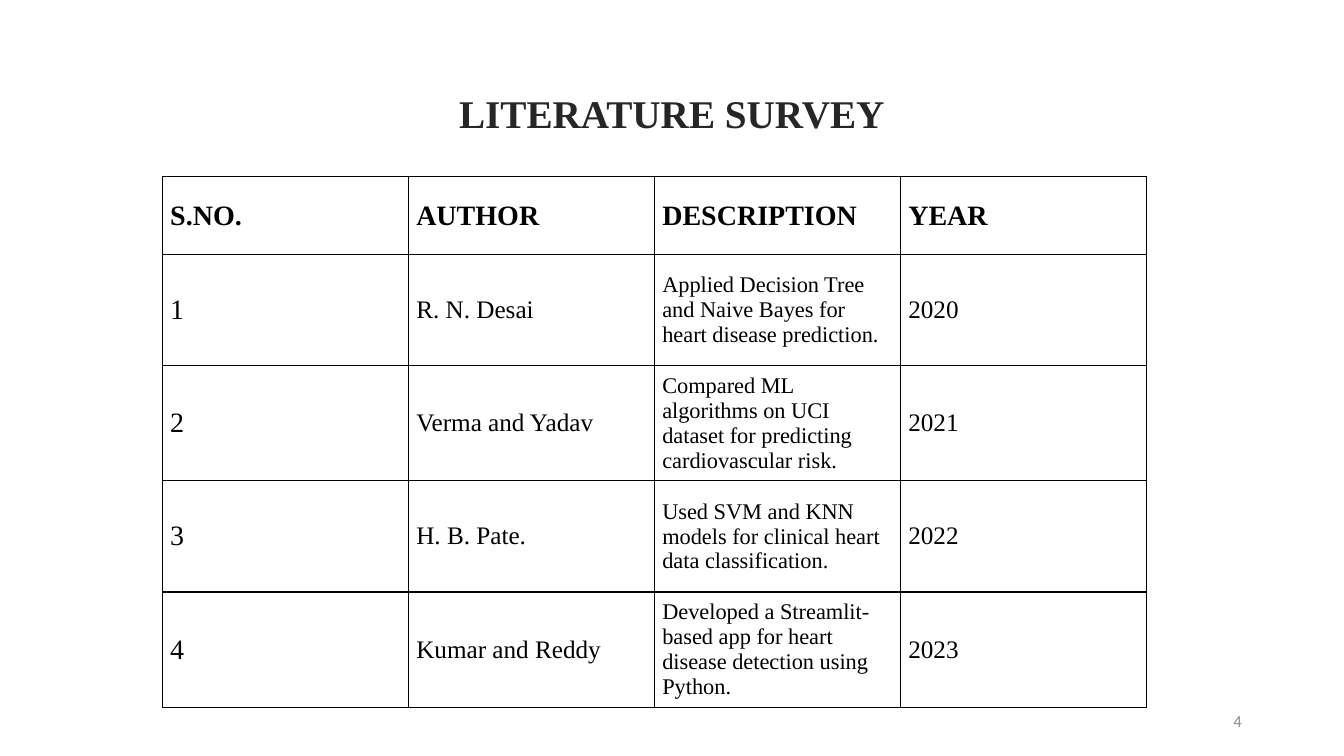
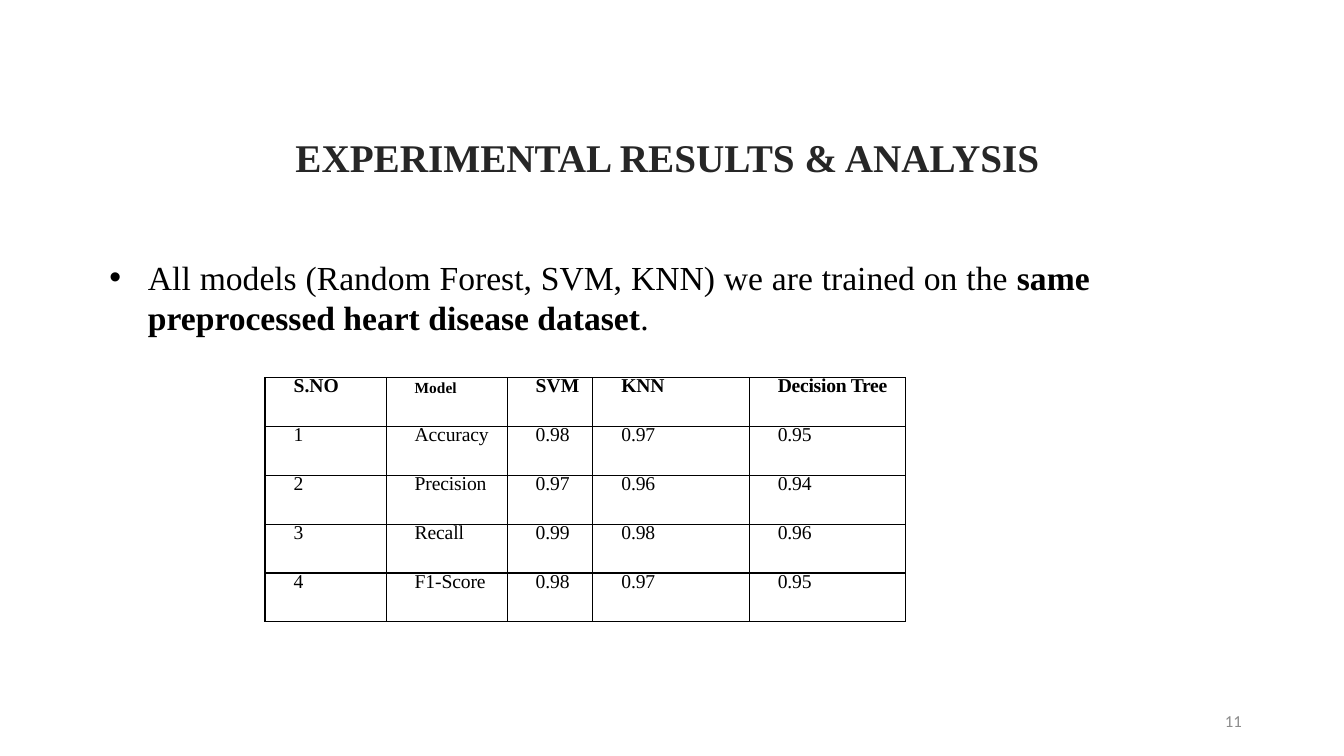
from lxml import etree
from pptx import Presentation
from pptx.dml.color import RGBColor
from pptx.enum.text import MSO_ANCHOR, MSO_AUTO_SIZE, PP_ALIGN
from pptx.oxml.ns import qn
from pptx.util import Cm, Pt

TOP, MID = MSO_ANCHOR.TOP, MSO_ANCHOR.MIDDLE
CENTER, RIGHT, JUST = PP_ALIGN.CENTER, PP_ALIGN.RIGHT, PP_ALIGN.JUSTIFY
FIXED = MSO_AUTO_SIZE.NONE

SERIF, SANS = "Times New Roman", "Calibri"
BLACK, DARK, GREY = "000000", "262626", "8C8C8C"
EDGES = ("lnL", "lnR", "lnT", "lnB")

PAPERS = (
    ("S.NO.", "AUTHOR", "DESCRIPTION", "YEAR"),
    ("1", "R. N. Desai",
     "Applied Decision Tree and Naive Bayes for heart disease prediction.", "2020"),
    ("2", "Verma and Yadav",
     "Compared ML algorithms on UCI dataset for predicting cardiovascular risk.", "2021"),
    ("3", "H. B. Pate.",
     "Used SVM and KNN models for clinical heart data classification.", "2022"),
    ("4", "Kumar and Reddy",
     "Developed a Streamlit-based app for heart disease detection using Python.", "2023"),
)
SCORES = (
    ("S.NO", "Model", "SVM", "KNN", "Decision Tree"),
    ("1", "Accuracy", "0.98", "0.97", "0.95"),
    ("2", "Precision", "0.97", "0.96", "0.94"),
    ("3", "Recall", "0.99", "0.98", "0.96"),
    ("4", "F1-Score", "0.98", "0.97", "0.95"),
)


def paint(color, code):
    """Set a colour from a hex string."""
    color.rgb = RGBColor.from_string(code)


def apply(item, values):
    """Set each named attribute of an object."""
    for name, value in values.items():
        setattr(item, name, value)


def write(para, text, size, face=SERIF, code=BLACK, bold=False):
    """Add a formatted run to a paragraph."""
    run = para.add_run()
    run.text = text
    apply(run.font, {"name": face, "size": Pt(size), "bold": bold})
    paint(run.font.color, code)
    return run


def indent(para, left, first=0):
    """Set the left and first-line indents of a paragraph in centimetres."""
    props = para._p.get_or_add_pPr()
    props.set("marL", str(Cm(left)))
    props.set("indent", str(Cm(first)))
    return props


def place(shape, left, top, width, height):
    """Move and size a shape in centimetres."""
    apply(shape, {"left": Cm(left), "top": Cm(top),
                  "width": Cm(width), "height": Cm(height)})


def add_title(slide, text, box):
    """Fill, move and format the title placeholder."""
    title = slide.shapes.title
    place(title, *box)
    apply(title.text_frame, {"word_wrap": True, "auto_size": FIXED,
                             "vertical_anchor": MID})
    para = title.text_frame.paragraphs[0]
    apply(para, {"alignment": CENTER, "line_spacing": 0.9})
    write(para, text, 28, code=DARK, bold=True)


def add_box(slide, box, anchor, align):
    """Add a wrapped text box and return its first paragraph."""
    frame = slide.shapes.add_textbox(*map(Cm, box)).text_frame
    apply(frame, {"word_wrap": True, "vertical_anchor": anchor})
    para = frame.paragraphs[0]
    para.alignment = align
    return para


def add_page(slide, number):
    """Add the page number in the footer."""
    para = add_box(slide, (23.93, 17.65, 7.62, 1.02), MID, RIGHT)
    write(para, str(number), 12, SANS, GREY)


def add_point(slide, box, parts):
    """Add a justified bullet made of (text, bold) parts."""
    para = add_box(slide, box, TOP, JUST)
    props = indent(para, 0.97, -0.97)
    etree.SubElement(props, qn("a:buFont")).set("typeface", "Arial")
    etree.SubElement(props, qn("a:buChar")).set("char", "•")
    for text, bold in parts:
        write(para, text, 24, bold=bold)


def frame_cell(cell):
    """Give a cell thin black borders and no fill."""
    props = cell._tc.get_or_add_tcPr()
    for edge in EDGES:
        line = etree.SubElement(props, qn("a:" + edge), w=str(Pt(1)))
        fill = etree.SubElement(line, qn("a:solidFill"))
        etree.SubElement(fill, qn("a:srgbClr"), val=BLACK)
    cell.fill.background()


def add_grid(slide, spot, widths, heights, data, sizes, pads, anchor):
    """Add a bordered table; sizes holds the header and body text sizes."""
    table = slide.shapes.add_table(
        len(data), len(widths), *map(Cm, (*spot, sum(widths), sum(heights)))).table
    apply(table, {"first_row": False, "horz_banding": False})
    for col, width in zip(table.columns, widths):
        col.width = Cm(width)
    side, edge = map(Cm, pads)
    form = {"margin_left": side, "margin_right": side, "margin_top": edge,
            "margin_bottom": edge, "vertical_anchor": anchor}
    for r, texts in enumerate(data):
        table.rows[r].height = Cm(heights[r])
        for c, text in enumerate(texts):
            cell = table.cell(r, c)
            apply(cell, form)
            frame_cell(cell)
            write(cell.text_frame.paragraphs[0], text, sizes[r > 0][c], bold=r == 0)
    return table


def tighten(table):
    """Indent the score cells and set their line and letter spacing."""
    for r, row in enumerate(table.rows):
        for c, cell in enumerate(row.cells):
            para = cell.text_frame.paragraphs[0]
            para.line_spacing = Pt(13.8)
            indent(para, 0.54)
            gap = -10 if r else -20 if c > 2 else 0
            para.runs[0]._r.get_or_add_rPr().set("spc", str(gap))


def add_survey(deck, layout):
    """Build the literature survey slide."""
    slide = deck.slides.add_slide(layout)
    add_title(slide, "LITERATURE SURVEY", (4.52, 1.07, 24.82, 3.68))
    add_page(slide, 4)
    add_grid(slide, (4.09, 4.45), [6.2] * 4, [1.96] + [2.8] * 4, PAPERS,
             ([20] * 4, [20, 18, 16, 18]), (0.2, 0.1), MID)


def add_results(deck, layout):
    """Build the experimental results slide."""
    slide = deck.slides.add_slide(layout)
    add_title(slide, "EXPERIMENTAL RESULTS & ANALYSIS", (2.21, 2.18, 29.21, 3.68))
    add_page(slide, 11)
    table = add_grid(slide, (6.68, 9.52), [3.05, 3.05, 2.16, 3.94, 3.94], [1.23] * 5,
                     SCORES, ([14, 11, 14, 14, 14], [14] * 5), (0.18, 0), TOP)
    tighten(table)
    add_point(slide, (2.51, 6.35, 25.2, 2.31), (
        ("All models (Random Forest, SVM, KNN) we are trained on the ", False),
        ("same preprocessed heart disease dataset", True),
        (".", False)))


def main():
    """Build and save the deck."""
    deck = Presentation()
    apply(deck, {"slide_width": Cm(33.87), "slide_height": Cm(19.05)})
    layout = deck.slide_layouts[5]
    add_survey(deck, layout)
    add_results(deck, layout)
    deck.save("out.pptx")


if __name__ == "__main__":
    main()
